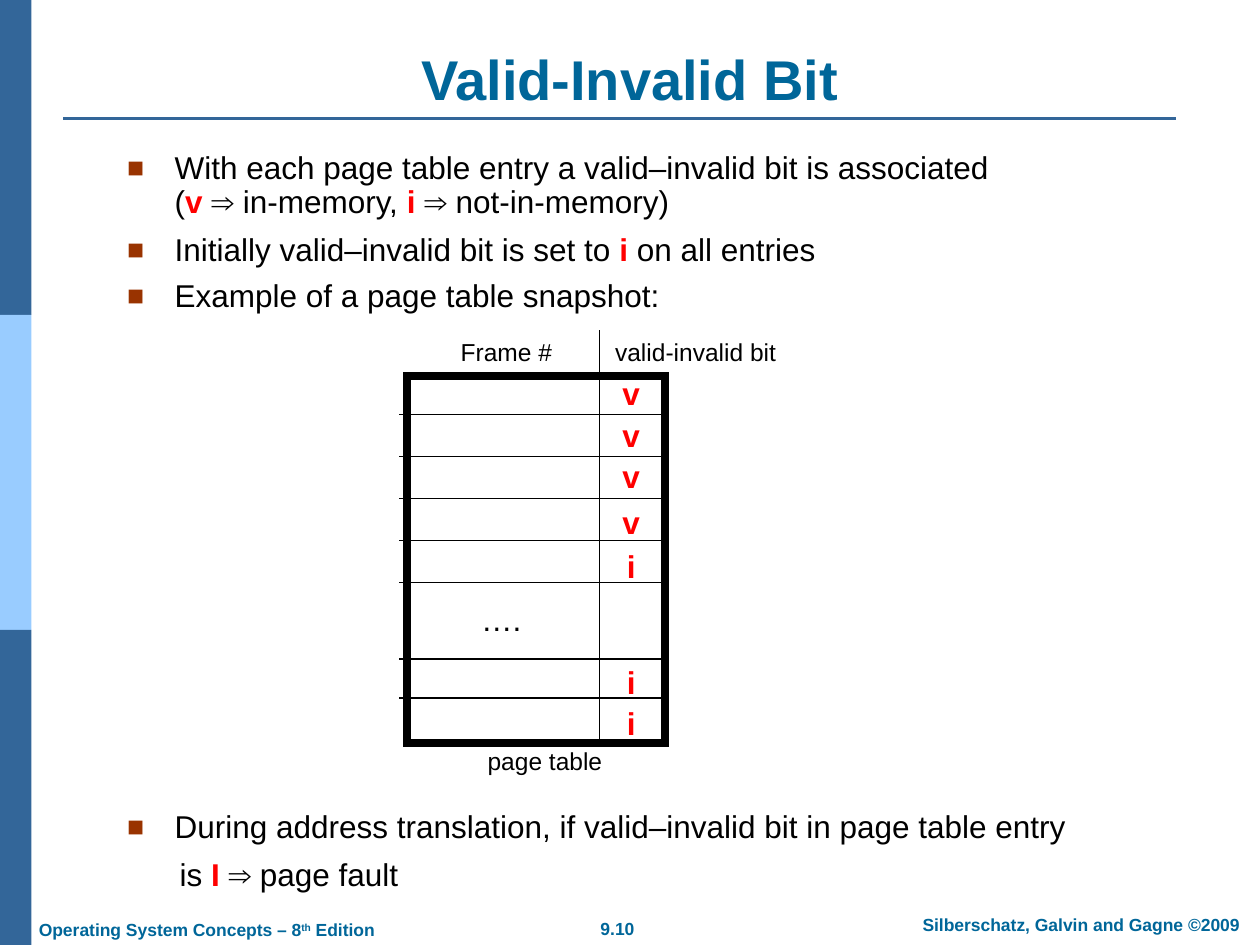
from dataclasses import dataclass

from lxml import etree
from pptx import Presentation
from pptx.dml.color import RGBColor
from pptx.enum.shapes import MSO_CONNECTOR, MSO_SHAPE
from pptx.enum.text import MSO_ANCHOR, PP_ALIGN
from pptx.oxml.ns import qn
from pptx.slide import Slide
from pptx.util import Pt

LEFT, CENTER = PP_ALIGN.LEFT, PP_ALIGN.CENTER
TOP, MIDDLE, BOTTOM = MSO_ANCHOR.TOP, MSO_ANCHOR.MIDDLE, MSO_ANCHOR.BOTTOM
RECTANGLE = MSO_SHAPE.RECTANGLE
STRAIGHT = MSO_CONNECTOR.STRAIGHT


def color(hex_value):
    return RGBColor.from_string(hex_value)


@dataclass
class SlideBuilder:
    slide: Slide
    font: str = "Arial"
    black: str = "000000"
    white: str = "FFFFFF"
    red: str = "FF0000"
    teal: str = "006699"
    blue: str = "336699"
    light_blue: str = "99CCFF"
    bullet_color: str = "993300"

    def rectangle(self, left, top, width, height, fill, line_width=0):
        shape = self.slide.shapes.add_shape(
            RECTANGLE, Pt(left), Pt(top), Pt(width), Pt(height))
        shape.shadow.inherit = False
        shape.fill.solid()
        shape.fill.fore_color.rgb = color(fill)
        if line_width:
            shape.line.color.rgb = color(self.black)
            shape.line.width = Pt(line_width)
            outline = shape._element.spPr.find(qn("a:ln"))
            etree.SubElement(outline, qn("a:miter"), lim="800000")
        else:
            shape.line.fill.background()

    def line(self, x1, y1, x2, y2, line_color=None, width=0.75):
        connector = self.slide.shapes.add_connector(
            STRAIGHT, Pt(x1), Pt(y1), Pt(x2), Pt(y2))
        connector.line.color.rgb = color(line_color or self.black)
        connector.line.width = Pt(width)
        etree.SubElement(connector._element.spPr, qn("a:effectLst"))

    def text_frame(self, left, top, width, height, anchor, wrap):
        box = self.slide.shapes.add_textbox(
            Pt(left), Pt(top), Pt(width), Pt(height))
        frame = box.text_frame
        frame.word_wrap = wrap
        frame.vertical_anchor = anchor
        return frame

    def run(self, paragraph, text, size, text_color, bold=False):
        run = paragraph.add_run()
        run.text = text
        run.font.name = self.font
        run.font.size = Pt(size)
        run.font.bold = bold
        run.font.color.rgb = color(text_color)
        return run

    def label(self, left, top, width, height, text, size, text_color=None,
              bold=False, align=CENTER, anchor=MIDDLE):
        """Add a one-line text and return its paragraph."""
        frame = self.text_frame(left, top, width, height, anchor, False)
        paragraph = frame.paragraphs[0]
        paragraph.alignment = align
        self.run(paragraph, text, size, text_color or self.black, bold)
        return paragraph

    def bullet(self, paragraph):
        properties = paragraph._p.get_or_add_pPr()
        properties.set("marL", str(Pt(27.2)))
        properties.set("indent", str(-Pt(27.2)))
        bullet_color = etree.SubElement(properties, qn("a:buClr"))
        etree.SubElement(bullet_color, qn("a:srgbClr"), val=self.bullet_color)
        etree.SubElement(properties, qn("a:buSzPct"), val="90000")
        etree.SubElement(properties, qn("a:buFont"), typeface=self.font)
        etree.SubElement(properties, qn("a:buChar"), char="■")

    def body(self, left, top, width, height, items):
        """Add paragraphs given as (space before, has bullet, lines).

        A line is a list of texts that alternate between plain and red bold.
        """
        frame = self.text_frame(left, top, width, height, TOP, True)
        for index, (space_before, has_bullet, lines) in enumerate(items):
            paragraph = frame.add_paragraph() if index else frame.paragraphs[0]
            if has_bullet:
                self.bullet(paragraph)
            else:
                paragraph._p.get_or_add_pPr().set("marL", str(Pt(30)))
            paragraph.line_spacing = 0.9
            paragraph.space_before = Pt(space_before)
            for line_index, texts in enumerate(lines):
                if line_index:
                    paragraph.add_line_break()
                for text_index, text in enumerate(texts):
                    marked = text_index % 2 == 1
                    self.run(paragraph, text, 18,
                             self.red if marked else self.black, marked)


def add_frame(builder):
    """Add the side bars, the title with its rule, and the footer."""
    bars = [builder.blue, builder.light_blue, builder.blue]
    for index, fill in enumerate(bars):
        builder.rectangle(0, 180 * index, 18, 180, fill)
    builder.line(36, 67.7, 672, 67.7, builder.blue, 1.5)
    builder.label(36, 22, 648, 45.4, "Valid-Invalid Bit", 32,
                  builder.teal, True, anchor=BOTTOM)

    footer = {"size": 10, "text_color": builder.teal, "bold": True,
              "anchor": TOP}
    builder.label(317.5, 521, 70.6, 19, "9.10", **footer)
    builder.label(509, 518.7, 217.5, 19.4,
                  "Silberschatz, Galvin and Gagne ©2009", **footer)
    edition = builder.label(15.1, 521.6, 230, 18.4,
                            "Operating System Concepts – 8",
                            align=LEFT, **footer)
    ordinal = builder.run(edition, "th", 10, builder.teal, True)
    ordinal._r.get_or_add_rPr().set("baseline", "30000")
    builder.run(edition, " Edition", 10, builder.teal, True)


def add_page_table(builder):
    builder.rectangle(232.6, 214.6, 147.6, 210.2, builder.white, 4.5)
    row_lines = [237 + 24 * row for row in range(5)] + [376.6, 398.9]
    for y in row_lines:
        builder.line(228.2, y, 378.7, y)
    builder.line(342.7, 188.6, 342.7, 422.6)

    bit_tops = [210.2, 234, 257.8, 283.7, 308.9, 375.1, 398.9]
    for bit, top in zip("vvvviii", bit_tops):
        builder.label(345.7, top, 30, 28.8, bit, 18, builder.red, True)
    builder.label(261.5, 339.1, 50, 28.8, "….", 18)
    builder.label(249.4, 188.6, 80, 24.5, "Frame #", 14)
    builder.label(337.5, 188.6, 120, 24.5, "valid-invalid bit", 14)
    builder.label(266.4, 422.6, 90, 24.5, "page table", 14)


def main():
    presentation = Presentation()
    presentation.slide_width = Pt(720)
    presentation.slide_height = Pt(540)
    slide = presentation.slides.add_slide(presentation.slide_layouts[6])
    builder = SlideBuilder(slide)

    add_frame(builder)
    table_gap = 284
    builder.body(65.5, 83.5, 612.7, 430.6, [
        (0, True, [
            ["With each page table entry a valid–invalid bit is associated"],
            ["(", "v ", "⇒ in-memory, ", "i ", "⇒ not-in-memory)"]]),
        (7.9, True, [["Initially valid–invalid bit is set to", " i ",
                      "on all entries"]]),
        (7, True, [["Example of a page table snapshot:"]]),
        (table_gap, True, [["During address translation, if valid–invalid "
                            "bit in page table entry"]]),
        (7.9, False, [["is", " I ", "⇒ page fault"]]),
    ])
    add_page_table(builder)
    presentation.save("out.pptx")


if __name__ == "__main__":
    main()
